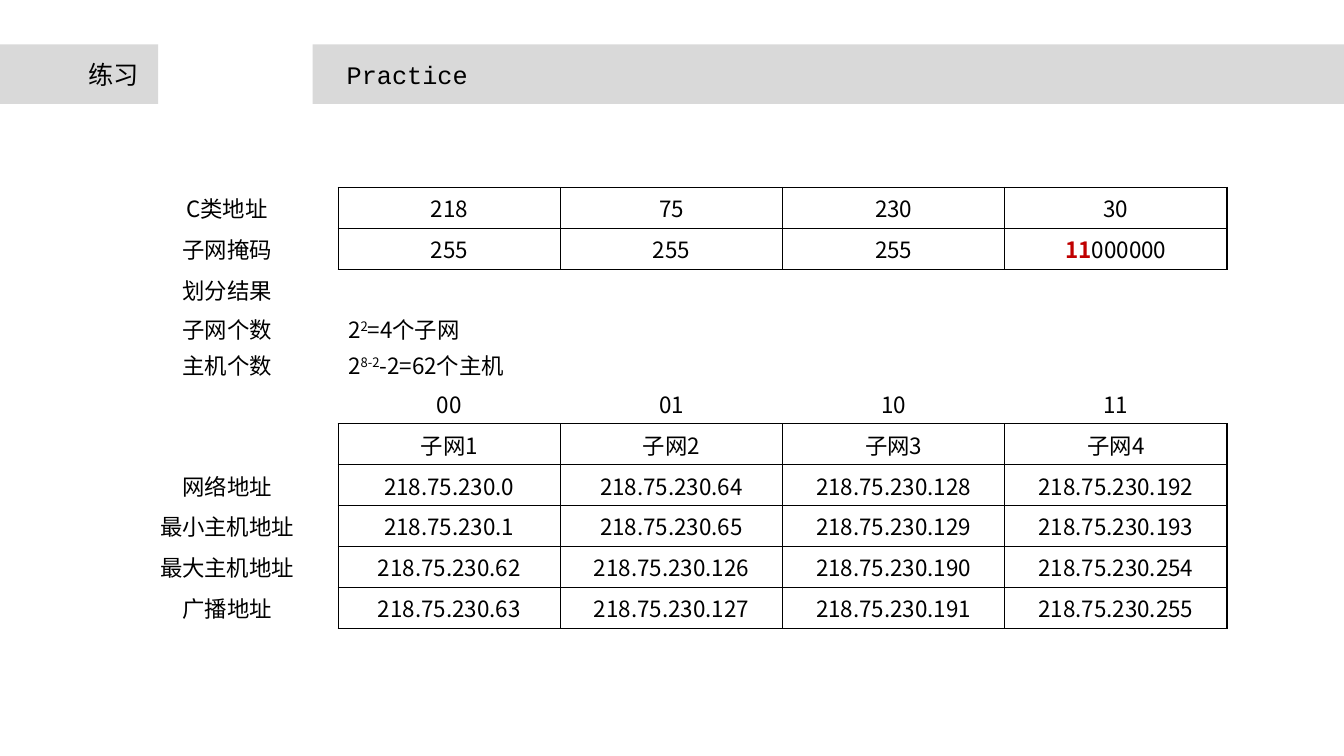
from lxml import etree
from pptx import Presentation
from pptx.dml.color import RGBColor
from pptx.enum import shapes, text
from pptx.oxml import ns
from pptx.util import Inches, Pt

BLACK = RGBColor(0x00, 0x00, 0x00)
RED = RGBColor(0xC0, 0x00, 0x00)
BAR_GRAY = RGBColor(0xD9, 0xD9, 0xD9)
SANS = "Noto Sans CJK SC"
MONO = "Courier New"

SUBNETS = range(4)
SUBNET_SIZE = 64
GRID_ROWS = {0, 1, 6, 7, 8, 9, 10}
SHORT_ROWS = {3, 4}
SHORT_HEIGHT = 0.36
TABLE_WIDTH, TABLE_HEIGHT = 11.02, 4.38
COLUMNS = 5


def subnet_addresses(offset):
    return [f"218.75.230.{SUBNET_SIZE * index + offset}" for index in SUBNETS]


# Label, then the cells; a single cell spans the remaining columns.
# A cell is a string or a list of (text, format) runs.
ROWS = [
    ("C类地址", ["218", "75", "230", "30"]),
    ("子网掩码", ["255", "255", "255",
              [("11", {"color": RED, "bold": True}), ("000000", {})]]),
    ("划分结果", []),
    ("子网个数", [[("2", {}), ("2", {"baseline": 30}), ("=4个子网", {})]]),
    ("主机个数", [[("2", {}), ("8-2", {"baseline": 30}), ("-2=62个主机", {})]]),
    ("", [f"{index:02b}" for index in SUBNETS]),
    ("", [f"子网{index + 1}" for index in SUBNETS]),
    ("网络地址", subnet_addresses(0)),
    ("最小主机地址", subnet_addresses(1)),
    ("最大主机地址", subnet_addresses(SUBNET_SIZE - 2)),
    ("广播地址", subnet_addresses(SUBNET_SIZE - 1)),
]


def add_run(paragraph, content, *, size=16, font=SANS, color=BLACK,
            bold=False, baseline=0):
    run = paragraph.add_run()
    run.text = content
    run.font.size = Pt(size)
    run.font.bold = bold
    run.font.color.rgb = color
    run.font.name = font
    properties = run.font._element
    etree.SubElement(properties, ns.qn("a:ea"), typeface=font)
    if baseline:
        properties.set("baseline", str(baseline * 1000))


def add_bar(slide, left, width):
    bar = slide.shapes.add_shape(shapes.MSO_SHAPE.RECTANGLE, Inches(left),
                                 Inches(0.44), Inches(width), Inches(0.59))
    bar.shadow.inherit = False
    bar.fill.solid()
    bar.fill.fore_color.rgb = BAR_GRAY
    bar.line.fill.background()


def set_heading(shape, content, left, width, font):
    shape.left, shape.top = Inches(left), Inches(0.54)
    shape.width, shape.height = Inches(width), Inches(0.4)
    frame = shape.text_frame
    frame.word_wrap = False
    frame.auto_size = text.MSO_AUTO_SIZE.SHAPE_TO_FIT_TEXT
    frame.vertical_anchor = text.MSO_ANCHOR.TOP
    paragraph = frame.paragraphs[0]
    paragraph.alignment = text.PP_ALIGN.LEFT
    add_run(paragraph, content, size=18, font=font)


def in_grid(row, column):
    return row in GRID_ROWS and 1 <= column < COLUMNS


def set_borders(cell, row, column):
    """Draw every edge that touches a cell of the ruled grids."""
    neighbours = {"L": (row, column - 1), "R": (row, column + 1),
                  "T": (row - 1, column), "B": (row + 1, column)}
    properties = cell._tc.get_or_add_tcPr()
    for index, (side, neighbour) in enumerate(neighbours.items()):
        line = etree.Element(ns.qn(f"a:ln{side}"), w=str(Pt(1)))
        if in_grid(row, column) or in_grid(*neighbour):
            fill = etree.SubElement(line, ns.qn("a:solidFill"))
            etree.SubElement(fill, ns.qn("a:srgbClr"), val=str(BLACK))
        else:
            etree.SubElement(line, ns.qn("a:noFill"))
        properties.insert(index, line)


def fill_cell(cell, content, alignment):
    if not content:
        return
    paragraph = cell.text_frame.paragraphs[0]
    paragraph.alignment = alignment
    runs = [(content, {})] if isinstance(content, str) else content
    for words, style in runs:
        add_run(paragraph, words, **style)


def add_address_table(slide):
    table = slide.shapes.add_table(
        len(ROWS), COLUMNS, Inches(1.15), Inches(1.86),
        Inches(TABLE_WIDTH), Inches(TABLE_HEIGHT)).table
    table.first_row = table.horz_banding = False
    for column in table.columns:
        column.width = Inches(TABLE_WIDTH / COLUMNS)

    short_total = SHORT_HEIGHT * len(SHORT_ROWS)
    normal_height = (TABLE_HEIGHT - short_total) / (len(ROWS) - len(SHORT_ROWS))
    for row, (label, values) in enumerate(ROWS):
        table.rows[row].height = Inches(
            SHORT_HEIGHT if row in SHORT_ROWS else normal_height)
        for column in range(COLUMNS):
            cell = table.cell(row, column)
            cell.fill.background()
            cell.margin_top = cell.margin_bottom = Inches(0.02)
            cell.vertical_anchor = text.MSO_ANCHOR.MIDDLE
            set_borders(cell, row, column)
        spans = len(values) == 1
        if spans:
            table.cell(row, 1).merge(table.cell(row, COLUMNS - 1))
        fill_cell(table.cell(row, 0), label, text.PP_ALIGN.CENTER)
        alignment = text.PP_ALIGN.LEFT if spans else text.PP_ALIGN.CENTER
        for column, value in enumerate(values, start=1):
            fill_cell(table.cell(row, column), value, alignment)


def main():
    presentation = Presentation()
    presentation.slide_width = Inches(13.33)
    presentation.slide_height = Inches(7.5)
    slide = presentation.slides.add_slide(presentation.slide_layouts[5])

    # Header bars
    add_bar(slide, 3.1, 10.23)
    add_bar(slide, 0, 1.57)

    # Headings, with the title brought in front of the bars
    title = slide.shapes.title
    slide.shapes._spTree.append(title._element)
    set_heading(title, "练习", 0.78, 0.71, SANS)
    subtitle = slide.shapes.add_textbox(0, 0, 0, 0)
    set_heading(subtitle, "Practice", 3.34, 1.41, MONO)

    # Subnet calculation
    add_address_table(slide)
    presentation.save("out.pptx")


if __name__ == "__main__":
    main()
